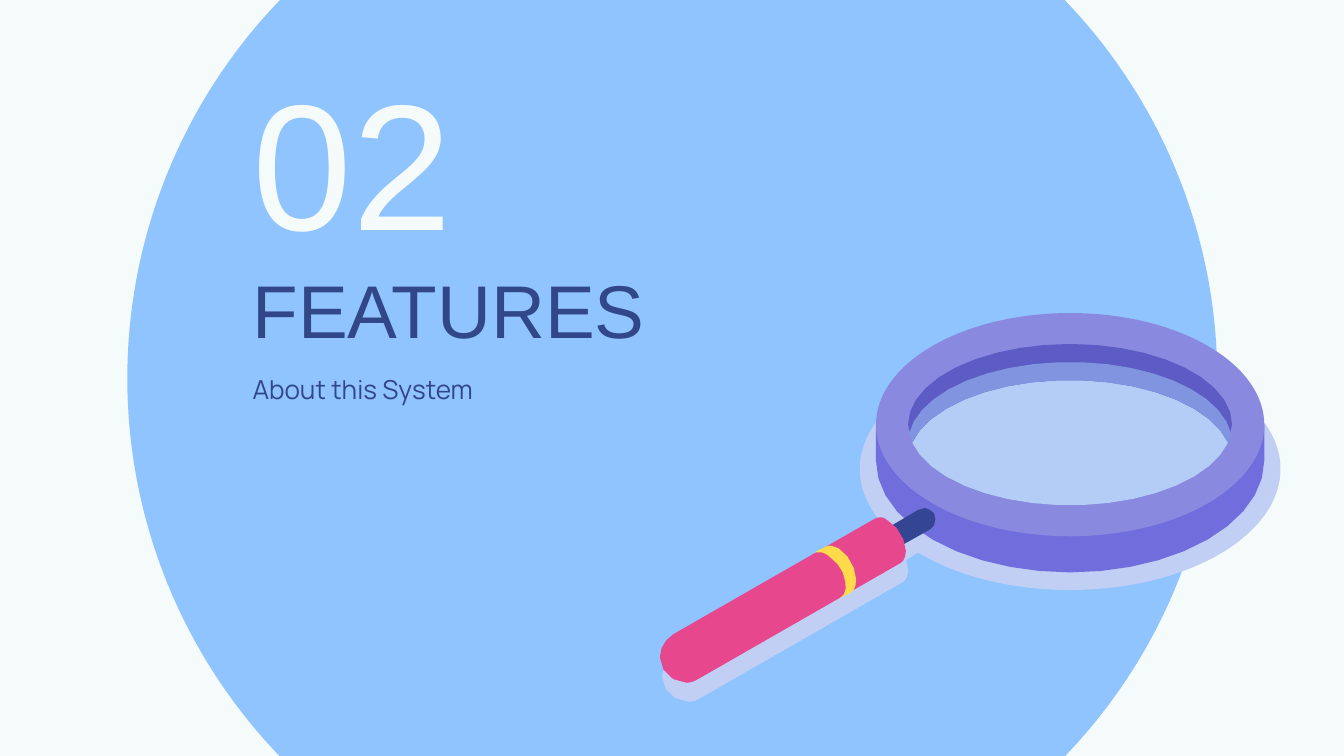
from dataclasses import dataclass
from math import asin, cos, degrees, radians, sin

from pptx import Presentation
from pptx.dml.color import RGBColor
from pptx.enum.shapes import MSO_SHAPE
from pptx.enum.text import MSO_ANCHOR
from pptx.util import Pt

MINT = RGBColor(0xF5, 0xFB, 0xFB)
SKY = RGBColor(0x90, 0xC4, 0xFE)
NAVY = RGBColor(0x32, 0x47, 0x88)
SHADOW = RGBColor(0xC1, 0xCF, 0xF4)
RIM_SIDE = RGBColor(0x70, 0x6E, 0xDC)
RIM_TOP = RGBColor(0x89, 0x89, 0xE0)
RIM_INSIDE = RGBColor(0x5C, 0x5C, 0xC4)
GLASS = RGBColor(0xB3, 0xCD, 0xF7)
GLASS_EDGE = RGBColor(0x81, 0x94, 0xDF)
SHAFT_BLUE = RGBColor(0x34, 0x45, 0x93)
PINK = RGBColor(0xE7, 0x47, 0x8D)
YELLOW = RGBColor(0xFF, 0xDB, 0x4C)

Point = tuple[float, float]
CURVE_STEPS = 3
ARC_STEP = 9


@dataclass(frozen=True)
class Oval:
    cx: float
    cy: float
    rx: float
    ry: float

    def lowered(self, drop: float) -> "Oval":
        return Oval(self.cx, self.cy + drop, self.rx, self.ry)

    def arc(self, start: float, end: float) -> list[Point]:
        """Points from start to end in degrees, clockwise from the right."""
        steps = max(1, round(abs(end - start) / ARC_STEP))
        angles = [radians(start + (end - start) * i / steps) for i in range(steps + 1)]
        return [(self.cx + self.rx * cos(a), self.cy + self.ry * sin(a)) for a in angles]


@dataclass(frozen=True)
class Label:
    text: str
    left: float
    top: float
    width: float
    height: float
    size: float
    font: str
    color: RGBColor
    anchor: MSO_ANCHOR


DISC = Oval(360.15, 202.65, 291.95, 291.95)
RIM = Oval(573.3, 227.5, 104, 59.8)
LENS = Oval(573.3, 227.5, 86.8, 43.2)
CAST = Oval(573.3, 251.3, 112.7, 64.8)
DEPTH = 19.4

# Outlines: a start point, then line ends (2 numbers) or cubic curves (6 numbers).
HANDLE = [
    (470.9, 277.2), (468.7, 277.9), (360.7, 339.8),
    (356.4, 342.7, 353.5, 347, 353.5, 352.1), (353.5, 359.3, 360, 365.8, 367.9, 365.8),
    (370.1, 365.8, 372.2, 365, 374.4, 363.6), (482.4, 301.7),
    (483.8, 301, 485.3, 298.8, 485.3, 295.2), (485.3, 289.4, 481, 281.5, 475.2, 278.6),
    (473.8, 277.2, 472.3, 277.2, 470.9, 277.2),
]
SHAFT = [
    (495.4, 272.2), (491.8, 273.2), (463, 290.2),
    (460.1, 291.6, 458.6, 295.2, 460.1, 298.1), (461.5, 300.2, 463.7, 301.7, 465.8, 301.7),
    (468.7, 300.2), (498.2, 283.7),
    (501.1, 282.2, 501.8, 277.9, 500.4, 275), (499, 273.6, 496.8, 272.2, 495.4, 272.2),
]
STRIPE = [
    (444.2, 292.3), (442.1, 293), (436.3, 295.9), (439.9, 295.9),
    (442, 296.2, 443.5, 297.4, 445, 298.8), (449.3, 301.7, 452.2, 306.7, 452.9, 311.8),
    (453.6, 316, 452.5, 319, 450, 320.4), (455.8, 317.5),
    (457.9, 316.1, 458.6, 313.9, 458.6, 310.3),
    (458.6, 304.6, 454.3, 296.6, 449.3, 293.8), (447.1, 293, 445.7, 292.3, 444.2, 292.3),
]
SHAFT_SHADOW = [(486.7, 288), (472.3, 295.9), (481.7, 302.4), (493.2, 295.2)]

LABELS = [
    Label("FEATURES", 128.2, 160.6, 329, 36, 40, "Arial", NAVY, MSO_ANCHOR.BOTTOM),
    Label("About this System", 128.2, 193, 201.6, 45.4, 14, "Manrope", NAVY, MSO_ANCHOR.TOP),
    Label("02", 128.2, 62.6, 176.4, 45.4, 96, "Arial", MINT, MSO_ANCHOR.MIDDLE),
]


def trace(outline: list[tuple], dx: float = 0, dy: float = 0) -> list[Point]:
    """Turn an outline into points, moved by dx and dy."""
    points = [outline[0]]
    for seg in outline[1:]:
        if len(seg) == 2:
            points.append(seg)
            continue
        nodes = [points[-1], seg[0:2], seg[2:4], seg[4:6]]
        for i in range(1, CURVE_STEPS + 1):
            t = i / CURVE_STEPS
            weights = ((1 - t) ** 3, 3 * t * (1 - t) ** 2, 3 * t * t * (1 - t), t ** 3)
            points.append(tuple(sum(w * n[k] for w, n in zip(weights, nodes)) for k in (0, 1)))
    return [(x + dx, y + dy) for x, y in points]


def crossing(drop: float) -> float:
    """Angle at which the lens meets itself lowered by drop."""
    return degrees(asin(drop / 2 / LENS.ry))


def lens_band(upper: float, lower: float) -> list[Point]:
    """Part of the lens between its top edges lowered by two drops."""
    a, b = crossing(upper), crossing(lower)
    return (LENS.lowered(upper).arc(180 + a, 360 - a)
            + LENS.lowered(lower).arc(360 - b, 180 + b))


def glass() -> list[Point]:
    a = crossing(DEPTH)
    return LENS.lowered(DEPTH).arc(180 + a, 360 - a) + LENS.arc(a, 180 - a)


def rim_side() -> list[Point]:
    """Lower wall of the rim; its upper corners lie under the rim's top."""
    left, right = RIM.cx - RIM.rx, RIM.cx + RIM.rx
    return [(left, RIM.cy), (506.9, 200.9), (639.7, 200.9), (right, RIM.cy)] + RIM.lowered(DEPTH).arc(0, 180)


def paint(sp, color: RGBColor) -> None:
    sp.shadow.inherit = False
    sp.fill.solid()
    sp.fill.fore_color.rgb = color
    sp.line.fill.background()


def add_oval(s, oval: Oval, color: RGBColor) -> None:
    sp = s.shapes.add_shape(MSO_SHAPE.OVAL, Pt(oval.cx - oval.rx), Pt(oval.cy - oval.ry),
                            Pt(2 * oval.rx), Pt(2 * oval.ry))
    paint(sp, color)


def add_outline(s, points: list[Point], color: RGBColor) -> None:
    emu = [(Pt(x), Pt(y)) for x, y in points]
    builder = s.shapes.build_freeform(*emu[0], scale=1.0)
    builder.add_line_segments(emu[1:], close=True)
    paint(builder.convert_to_shape(), color)


def add_label(s, label: Label) -> None:
    sp = s.shapes.add_textbox(Pt(label.left), Pt(label.top), Pt(label.width), Pt(label.height))
    tf = sp.text_frame
    tf.word_wrap = True
    tf.vertical_anchor = label.anchor
    tf.margin_left = tf.margin_right = tf.margin_top = tf.margin_bottom = Pt(7.2)
    r = tf.paragraphs[0].add_run()
    r.text = label.text
    r.font.size = Pt(label.size)
    r.font.name = label.font
    r.font.color.rgb = label.color


def main() -> None:
    prs = Presentation()
    prs.slide_width, prs.slide_height = Pt(720), Pt(405)
    s = prs.slides.add_slide(prs.slide_layouts[6])
    s.background.fill.solid()
    s.background.fill.fore_color.rgb = MINT

    add_oval(s, DISC, SKY)
    for label in LABELS:
        add_label(s, label)

    magnifier = [
        (trace(HANDLE, 1.2, 10.2), SHADOW),
        (CAST, SHADOW),
        (SHAFT_SHADOW, SHADOW),
        (rim_side(), RIM_SIDE),
        (RIM, RIM_TOP),
        (lens_band(0, DEPTH), RIM_INSIDE),
        (glass(), GLASS),
        (lens_band(DEPTH / 2, DEPTH), GLASS_EDGE),
        (trace(SHAFT), SHAFT_BLUE),
        (trace(HANDLE), PINK),
        (trace(STRIPE), YELLOW),
    ]
    for part, color in magnifier:
        draw = add_oval if isinstance(part, Oval) else add_outline
        draw(s, part, color)

    prs.save("out.pptx")


if __name__ == "__main__":
    main()
